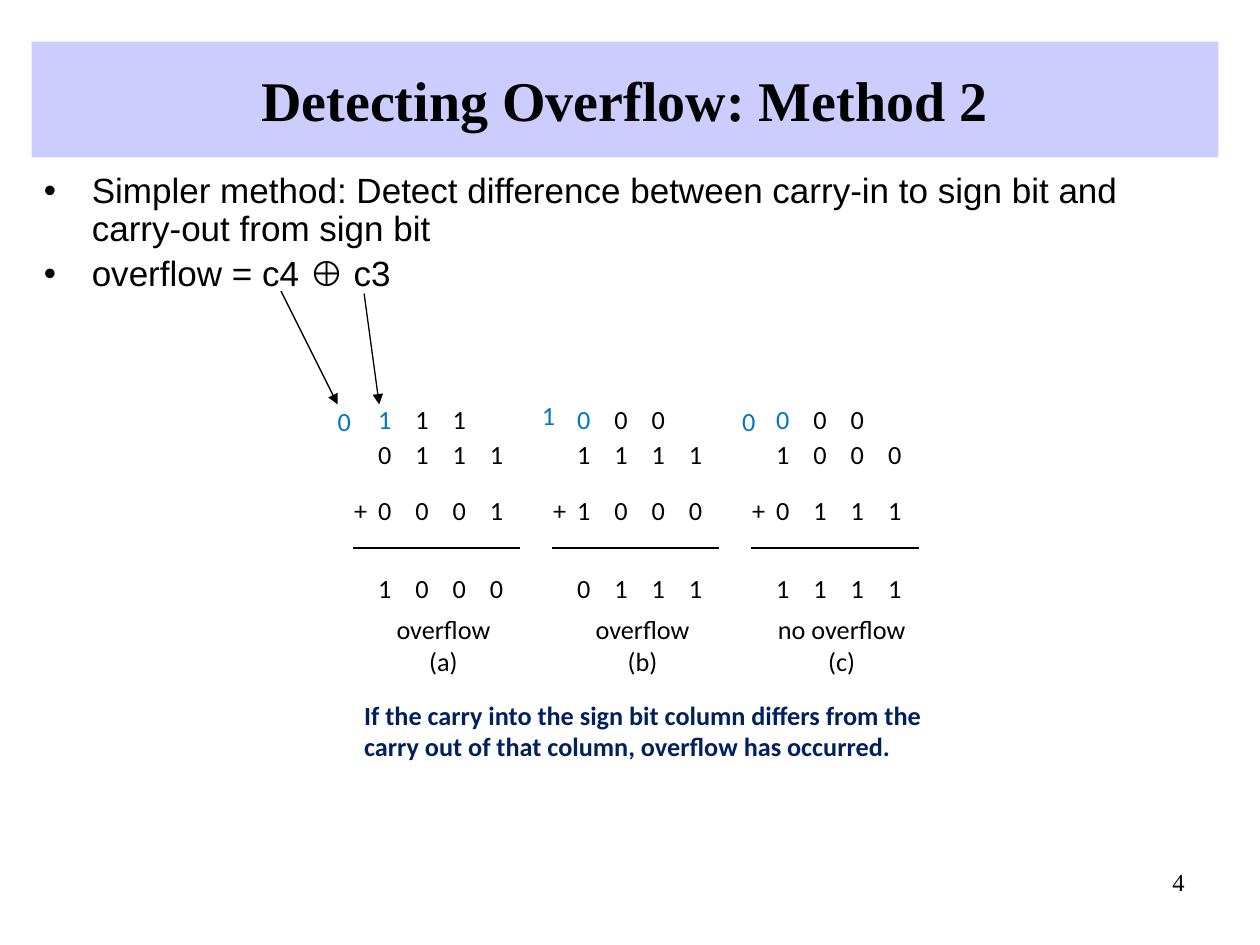
from dataclasses import dataclass

import pptx
import pptx.dml.color
import pptx.enum.shapes
import pptx.enum.text
import pptx.oxml.ns
import pptx.util
from lxml import etree

Inches = pptx.util.Inches
Pt = pptx.util.Pt
ALIGN = pptx.enum.text.PP_ALIGN
ANCHOR = pptx.enum.text.MSO_ANCHOR
FIT = pptx.enum.text.MSO_AUTO_SIZE
qn = pptx.oxml.ns.qn

COLORS = {"black": "000000", "band": "CCCCFF", "carry": "0078C1", "note": "002060"}


@dataclass
class Sum:
    """One worked binary addition; out_dx and out_top place its carry-out."""
    carry: str
    first: str
    second: str
    total: str
    out: str
    out_dx: float
    out_top: float
    verdict: str
    tag: str


SUMS = [
    Sum("111", "0111", "0001", "1000", "0", -0.32, 3.22, "overflow", "(a)"),
    Sum("000", "1111", "1000", "0111", "1", -0.28, 3.17, "overflow", "(b)"),
    Sum("000", "1000", "0111", "1111", "0", -0.27, 3.22, "no overflow", "(c)"),
]
LEFT, PITCH, STEP = 3.0, 1.58, 0.296
ROW_H, BIT_W = 0.25, 0.12


def rgb(name: str):
    """Look up a colour by name."""
    return pptx.dml.color.RGBColor.from_string(COLORS[name])


def style(frame, size: float, face: str, color: str = "black",
          bold: bool = False, align=ALIGN.LEFT) -> None:
    """Format every run of a text frame."""
    for para in frame.paragraphs:
        para.alignment = align
        for run in para.runs:
            run.font.size = Pt(size)
            run.font.name = face
            run.font.bold = bold
            run.font.color.rgb = rgb(color)


def label(slide, text: str, left: float, top: float, width: float,
          height: float = ROW_H, color: str = "black", bold: bool = False,
          align=ALIGN.LEFT) -> None:
    """Add a tight text box of the figure."""
    box = slide.shapes.add_textbox(Inches(left), Inches(top), Inches(width), Inches(height))
    frame = box.text_frame
    frame.margin_left = frame.margin_right = frame.margin_top = frame.margin_bottom = 0
    frame.word_wrap = False
    frame.auto_size = FIT.SHAPE_TO_FIT_TEXT
    frame.text = text
    style(frame, 15, "Calibri", color, bold, align)


def line(slide, start: tuple, end: tuple, width: float, arrow: bool = False) -> None:
    """Draw a straight black line, with an arrowhead at its end if asked."""
    link = slide.shapes.add_connector(
        pptx.enum.shapes.MSO_CONNECTOR.STRAIGHT, *map(Inches, start + end))
    link.line.color.rgb = rgb("black")
    link.line.width = Pt(width)
    if arrow:
        etree.SubElement(link.line._get_or_add_ln(), qn("a:tailEnd"), type="triangle")
    etree.SubElement(link._element.spPr, qn("a:effectLst"))


def draw_sum(slide, item: Sum, left: float) -> None:
    """Draw one addition whose sign bit column starts at left."""
    rows = [(3.2, item.carry), (3.48, item.first), (3.92, item.second), (4.54, item.total)]
    for top, bits in rows:
        for col, bit in enumerate(bits):
            sign = bits is item.carry and col == 0
            label(slide, bit, left + col * STEP, top, BIT_W,
                  color="carry" if sign else "black")
    label(slide, item.out, left + item.out_dx, item.out_top, BIT_W, color="carry")
    label(slide, "+", left - 0.19, 3.92, BIT_W)
    line(slide, (left - 0.2, 4.35), (left + 1.13, 4.35), 1.25)
    for top, text, width in [(4.87, item.verdict, 1.07), (5.12, item.tag, 0.24)]:
        label(slide, text, left + 0.52 - width / 2, top, width, align=ALIGN.CENTER)


def add_title(slide, text: str) -> None:
    """Place and format the title band."""
    title = slide.shapes.title
    title.left, title.top, title.width, title.height = map(Inches, (0.25, 0.33, 9.42, 0.92))
    title.fill.solid()
    title.fill.fore_color.rgb = rgb("band")
    frame = title.text_frame
    frame.text = text
    frame.vertical_anchor = ANCHOR.MIDDLE
    frame.auto_size = FIT.NONE
    style(frame, 32, "Times New Roman", bold=True, align=ALIGN.CENTER)


def add_points(slide, points: list) -> None:
    """Add the bulleted text under the title."""
    box = slide.shapes.add_textbox(Inches(0.25), Inches(1.33), Inches(9.42), Inches(0.44))
    frame = box.text_frame
    frame.word_wrap = True
    frame.text = "\n".join(points)
    style(frame, 20, "Arial")
    for para in frame.paragraphs:
        para.line_spacing = 0.9
        para.space_before = Pt(4)
        props = para._p.get_or_add_pPr()
        props.set("marL", str(Inches(0.38)))
        props.set("indent", str(-Inches(0.38)))
        etree.SubElement(props, qn("a:buFont"), typeface="Arial")
        etree.SubElement(props, qn("a:buChar"), char="•")


def add_page(slide, number: str) -> None:
    """Add the slide number."""
    box = slide.shapes.add_textbox(Inches(7.42), Inches(6.83), Inches(2.08), Inches(0.5))
    box.text_frame.word_wrap = True
    box.text_frame.text = number
    style(box.text_frame, 14, "Times New Roman", align=ALIGN.RIGHT)


def main() -> None:
    """Build and save the slide."""
    deck = pptx.Presentation()
    deck.slide_width, deck.slide_height = Inches(10), Inches(7.5)
    slide = deck.slides.add_slide(deck.slide_layouts.get_by_name("Title Only"))
    add_title(slide, "Detecting Overflow: Method 2")
    add_points(slide, [
        "Simpler method: Detect difference between carry-in to sign bit and "
        "carry-out from sign bit",
        "overflow = c4 ⊕ c3",
    ])
    for num, item in enumerate(SUMS):
        draw_sum(slide, item, LEFT + num * PITCH)
    label(slide, "If the carry into the sign bit column differs from the\n"
          "carry out of that column, overflow has occurred.",
          2.89, 5.55, 5.05, 0.5, "note", True)
    line(slide, (2.89, 2.33), (3.01, 3.21), 0.75, arrow=True)
    line(slide, (2.23, 2.31), (2.68, 3.21), 0.75, arrow=True)
    add_page(slide, "4")
    deck.save("out.pptx")


main()
